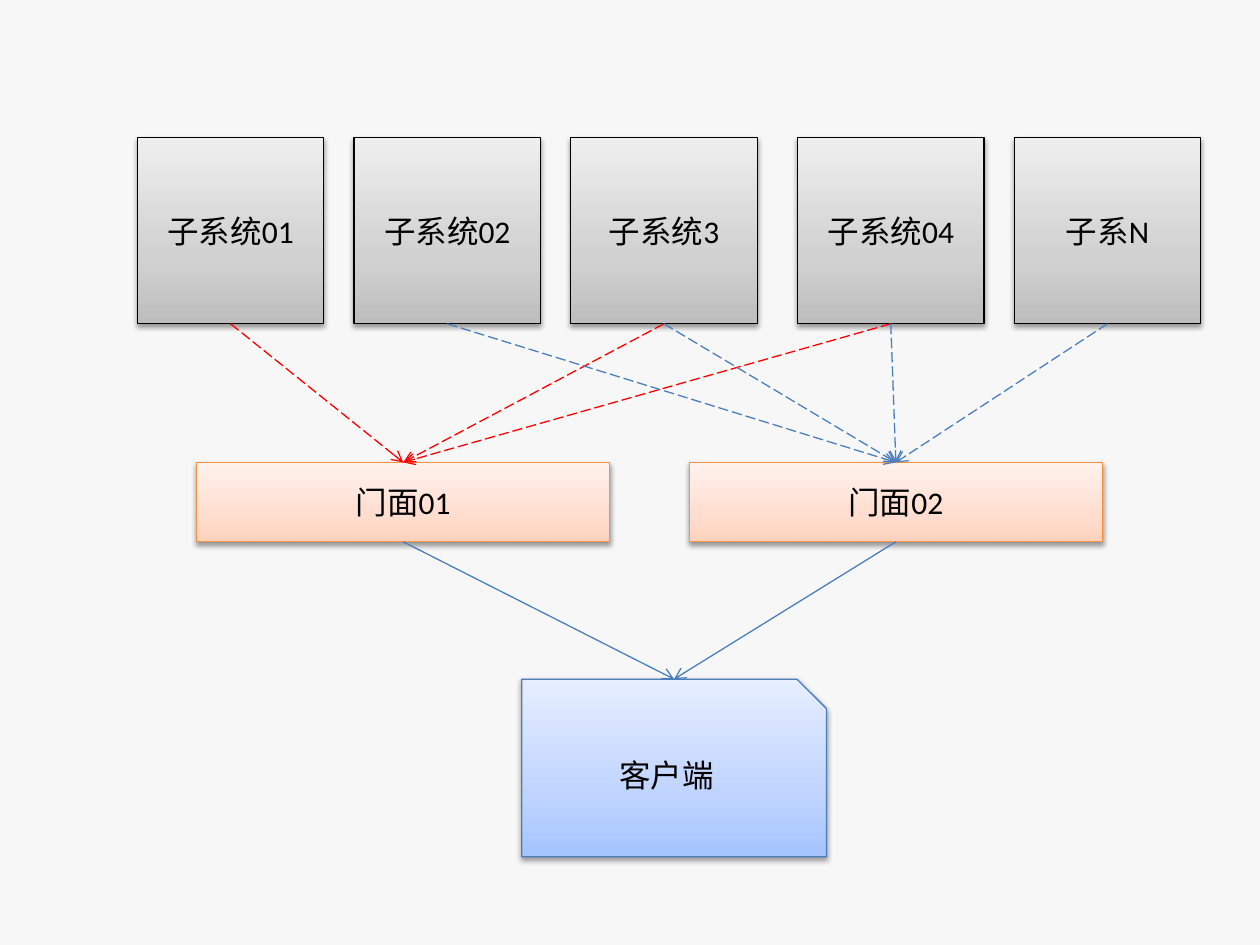
from lxml.etree import SubElement
from pptx import Presentation
from pptx.dml.color import RGBColor
from pptx.enum.dml import MSO_LINE
from pptx.enum.shapes import MSO_CONNECTOR, MSO_SHAPE
from pptx.enum.text import MSO_ANCHOR, PP_ALIGN
from pptx.oxml.ns import qn
from pptx.util import Inches, Pt

COLORS = {
    "background": "F7F7F7",
    "black": "000000",
    "red": "FF0000",
    "blue": "4B7EBC",
    "orange": "F69240",
}
GRADIENTS = {
    "gray": ("BDBDBD", "D1D1D1", "EEEEEE"),
    "peach": ("FFD2BD", "FFDED0", "FFF2ED"),
    "sky": ("A4C4FF", "BFD4FF", "E6EEFF"),
}
STOPS = (0, 35000, 100000)
TOP, BOTTOM = 0, 2


def color(name):
    return RGBColor.from_string(COLORS[name])


def add_color(parent, value):
    return SubElement(parent, qn("a:srgbClr"), val=value)


def fill_gradient(shape, values):
    shape.fill.gradient()
    shape.fill.gradient_angle = 90
    stop_list = shape._element.spPr.find(qn("a:gradFill")).find(qn("a:gsLst"))
    for stop in list(stop_list):
        stop_list.remove(stop)
    for position, value in zip(STOPS, values):
        add_color(SubElement(stop_list, qn("a:gs"), pos=str(position)), value)


def add_shadow(shape):
    shape.shadow.inherit = False
    effects = shape._element.spPr.find(qn("a:effectLst"))
    shadow = SubElement(effects, qn("a:outerShdw"), blurRad=str(Pt(3.1)),
                        dist=str(Pt(1.6)), dir="5400000", rotWithShape="0")
    SubElement(add_color(shadow, COLORS["black"]), qn("a:alpha"), val="38000")


def add_block(slide, box, text, gradient, outline, kind=MSO_SHAPE.RECTANGLE):
    shape = slide.shapes.add_shape(kind, *(Inches(length) for length in box))
    fill_gradient(shape, GRADIENTS[gradient])
    shape.line.color.rgb = color(outline)
    shape.line.width = Pt(0.75)
    add_shadow(shape)
    frame = shape.text_frame
    frame.text = text
    frame.vertical_anchor = MSO_ANCHOR.MIDDLE
    paragraph = frame.paragraphs[0]
    paragraph.alignment = PP_ALIGN.CENTER
    font = paragraph.runs[0].font
    font.size = Pt(18)
    font.name = "Calibri"
    font.color.rgb = color("black")
    return shape


def add_row(slide, box, labels, width, gradient, outline, extra_gaps=None):
    left, top, total, height = box
    extra_gaps = extra_gaps or {}
    pitch = (total - sum(extra_gaps.values()) - width) / (len(labels) - 1)
    blocks = []
    for index, label in enumerate(labels):
        shift = sum(gap for start, gap in extra_gaps.items() if index >= start)
        block_box = (left + index * pitch + shift, top, width, height)
        blocks.append(add_block(slide, block_box, label, gradient, outline))
    return blocks


def add_arrow(slide, source, target, line_color, dashed=False):
    arrow = slide.shapes.add_connector(MSO_CONNECTOR.STRAIGHT, 0, 0, 0, 0)
    arrow.begin_connect(source, BOTTOM)
    arrow.end_connect(target, TOP)
    arrow.line.color.rgb = color(line_color)
    arrow.line.width = Pt(0.75)
    if dashed:
        arrow.line.dash_style = MSO_LINE.LONG_DASH
    properties = arrow._element.spPr
    SubElement(properties.find(qn("a:ln")), qn("a:tailEnd"), type="arrow")
    SubElement(properties, qn("a:effectLst"))


def add_facade_diagram(slide):
    subsystems = add_row(
        slide, (1.09, 1.09, 8.44, 1.48),
        ["子系统01", "子系统02", "子系统3", "子系统04", "子系N"],
        1.48, "gray", "black", {3: 0.08})
    facades = add_row(slide, (1.56, 3.67, 7.19, 0.63), ["门面01", "门面02"],
                      3.28, "peach", "orange")
    client = add_block(slide, (4.14, 5.39, 2.42, 1.41), "客户端", "sky", "blue",
                       MSO_SHAPE.SNIP_1_RECTANGLE)
    links = [("red", (0, 2, 3)), ("blue", (1, 2, 3, 4))]
    for facade, (line_color, sources) in zip(facades, links):
        for source in sources:
            add_arrow(slide, subsystems[source], facade, line_color, dashed=True)
    for facade in facades:
        add_arrow(slide, facade, client, "blue")


presentation = Presentation()
presentation.slide_width = Inches(10)
presentation.slide_height = Inches(7.5)
slide = presentation.slides.add_slide(presentation.slide_layouts[6])
slide.background.fill.solid()
slide.background.fill.fore_color.rgb = color("background")
add_facade_diagram(slide)
presentation.save("out.pptx")
